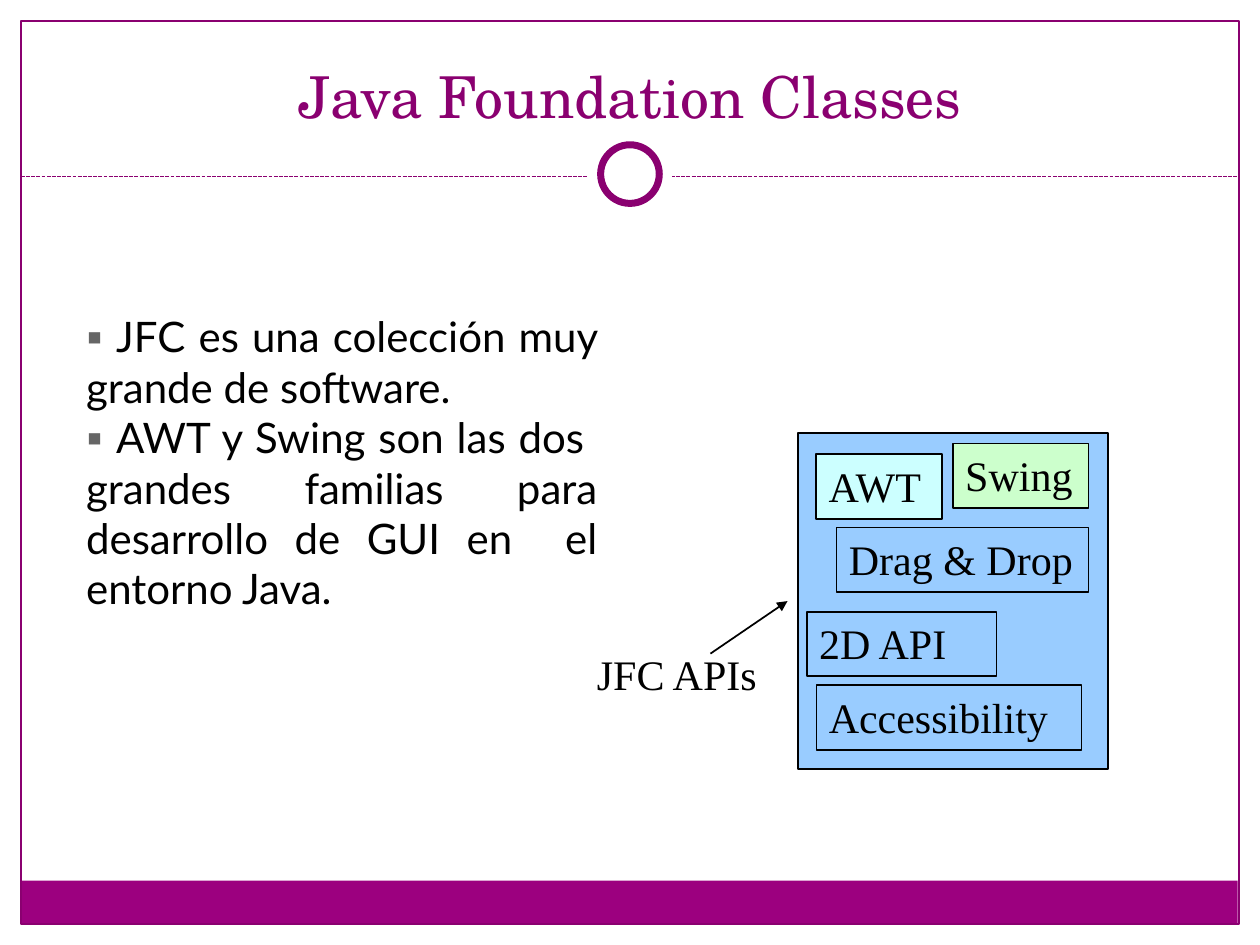
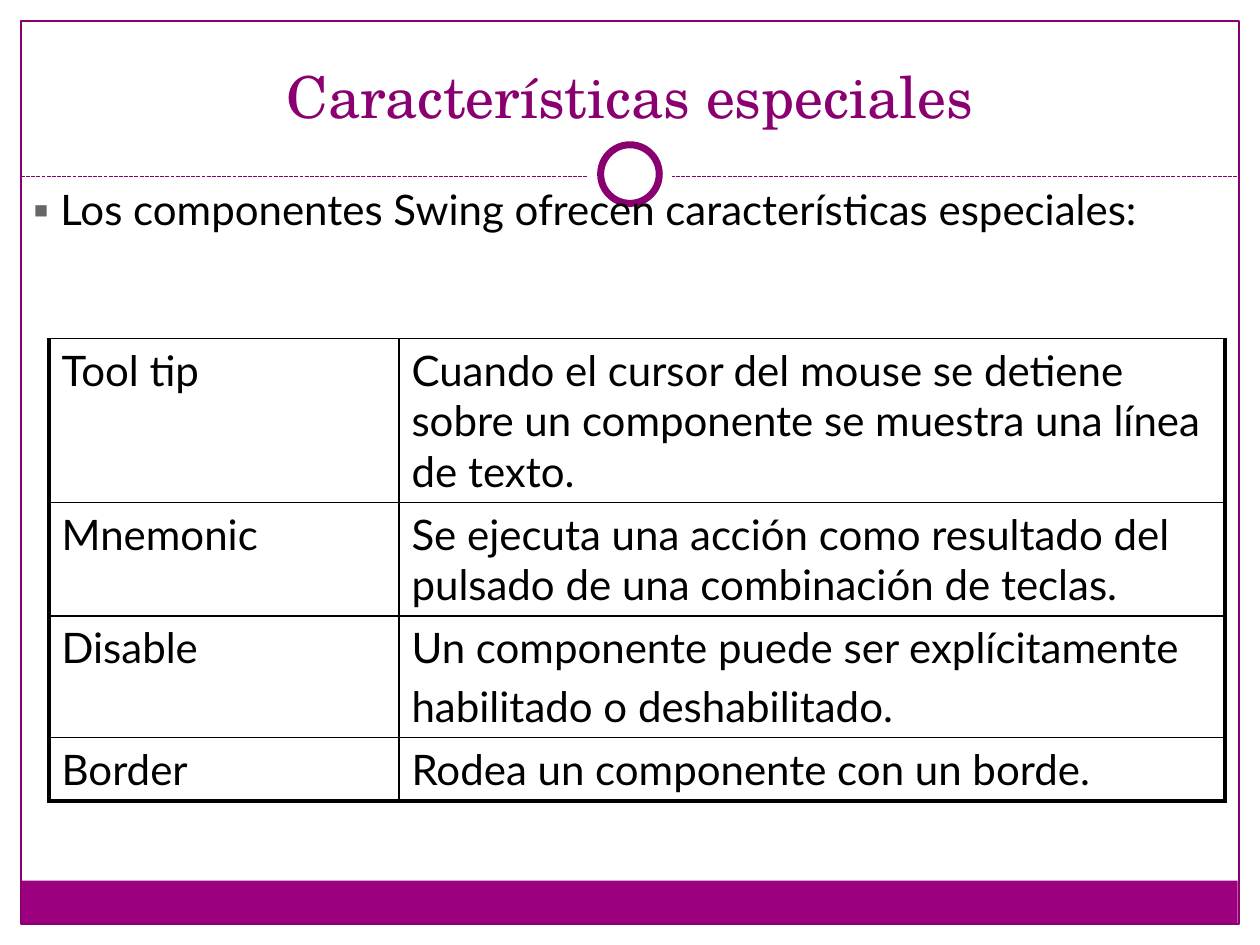
import lxml.etree
import pptx
import pptx.dml.color
import pptx.enum.dml
import pptx.enum.shapes
import pptx.enum.text
import pptx.oxml.ns
import pptx.util

Pt = pptx.util.Pt
qn = pptx.oxml.ns.qn
KIND = pptx.enum.shapes.MSO_SHAPE
ALIGN = pptx.enum.text.PP_ALIGN
HOLD = pptx.enum.text.MSO_ANCHOR

# Content; every place is left, top, width, height in points
TITLES = ["Java Foundation Classes", "Características especiales"]
LISTS = [
    {
        "at": (42, 174, 306.5, 181.5),
        "align": ALIGN.JUSTIFY,
        "lines": [
            "JFC es una colección muy grande de software.",
            "AWT y Swing son las dos  grandes familias para desarrollo "
            "de GUI en  el entorno Java.",
        ],
    },
    {
        "at": (11.5, 101.5, 684, 36),
        "align": ALIGN.LEFT,
        "lines": ["Los componentes Swing ofrecen características especiales:"],
    },
]
GROUP = (456, 247.5, 177, 192)
APIS = [  # label, left, top, width, fill
    ("AWT", 466.5, 259.5, 72, "aqua"),
    ("Swing", 544.5, 253.5, 77.5, "green"),
    ("Accessibility", 466.5, 391.5, 151.5, None),
    ("2D API", 461, 349.5, 108.5, None),
    ("Drag & Drop", 478, 301.5, 144, None),
]
API_TALL = 37
NOTE = ("JFC APIs", (334, 367, 107.5, 36))
ARROW = (406, 373.5, 450, 343.5)
TRAITS = [  # the top row stays open
    ("", [""]),
    ("Tool tip", ["Cuando el cursor del mouse se detiene sobre un componente "
                  "se muestra una línea de texto."]),
    ("Mnemonic", ["Se ejecuta una acción como resultado del pulsado de una "
                  "combinación de teclas."]),
    ("Disable", ["Un componente puede ser explícitamente",
                 "habilitado o deshabilitado."]),
    ("Border", ["Rodea un componente con un borde."]),
]
GRID = {"at": (28, 146), "cols": (200, 472), "rows": (47.5, 93.6, 64.8, 69.6, 36)}

# Shared look
HUES = {"plum": "8A0070", "band": "9C007F", "white": "FFFFFF", "black": "000000",
        "gray": "666666", "blue": "99CCFF", "aqua": "CCFFFF", "green": "CCFFCC"}
HEAD = {"name": "TeX Gyre Schola", "size": Pt(33), "hue": "plum"}
BODY = {"name": "Lato", "size": Pt(24), "hue": "black"}
MARK = {**BODY, "hue": "gray"}
SERIF = {**BODY, "name": "Times New Roman"}
FRAME = [  # shape, place, fill, line, line width
    (KIND.RECTANGLE, (11.75, 503.25, 695.5, 24.5), "band", None, 0),
    (KIND.RECTANGLE, (12, 12, 696, 516), None, "plum", 0.75),
    (KIND.OVAL, (336, 75.5, 48, 48), "white", None, 0),
    (KIND.OVAL, (343.25, 82.75, 33.5, 33.5), "white", "plum", 4),
]
RULE = (12, 100.8, 708, 100.8)


def tint(hue):
    return pptx.dml.color.RGBColor.from_string(HUES[hue])


def paint(fill, hue):
    if hue:
        fill.solid()
        fill.fore_color.rgb = tint(hue)
    else:
        fill.background()


def place(shape, at):
    for name, size in zip(("left", "top", "width", "height"), at):
        setattr(shape, name, Pt(size))


def draw(slide, kind, at, fill, line, width):
    shape = slide.shapes.add_shape(kind, *map(Pt, at))
    shape.shadow.inherit = False
    paint(shape.fill, fill)
    paint(shape.line.fill, line)
    if line:
        shape.line.width = Pt(width)
    return shape


def link(slide, ends, hue, width):
    line = slide.shapes.add_connector(
        pptx.enum.shapes.MSO_CONNECTOR.STRAIGHT, *map(Pt, ends))
    line.line.color.rgb = tint(hue)
    line.line.width = Pt(width)
    lxml.etree.SubElement(line.element.spPr, qn("a:effectLst"))
    return line


def write(frame, lines, look, align=ALIGN.LEFT, mark="", gap=0):
    """Fill a text frame, one paragraph for each line."""
    for i, text in enumerate(lines):
        para = frame.add_paragraph() if i else frame.paragraphs[0]
        para.alignment = align
        para.space_before = Pt(gap)
        for words, style in ((mark, MARK), (text, look)):
            if not words:
                continue
            run = para.add_run()
            run.text = words
            for name in ("name", "size"):
                setattr(run.font, name, style[name])
            run.font.color.rgb = tint(style["hue"])


def setup(frame, anchor=HOLD.TOP, wrap=True):
    values = {"word_wrap": wrap, "vertical_anchor": anchor,
              "auto_size": pptx.enum.text.MSO_AUTO_SIZE.NONE}
    for name, value in values.items():
        setattr(frame, name, value)
    return frame


def dress(deck, slide):
    """Draw the frame, then move it to the master for all slides."""
    parts = [draw(slide, *item) for item in FRAME]
    rule = link(slide, RULE, "plum", 0.75)
    rule.line.dash_style = pptx.enum.dml.MSO_LINE.SQUARE_DOT
    parts.insert(2, rule)
    tree = deck.slide_master.shapes[0].element.getparent()
    for i, part in enumerate(parts):
        part.element.xpath(".//p:cNvPr")[0].set("id", str(100 + i))
        tree.insert(2 + i, part.element)


def start(deck, title, points):
    """Add a slide with its title and list."""
    slide = deck.slides.add_slide(deck.slide_layouts[1])
    head, body = slide.placeholders
    place(head, (24, 18, 672, 60))
    write(setup(head.text_frame, HOLD.BOTTOM), [title], HEAD, ALIGN.CENTER)
    place(body, points["at"])
    write(setup(body.text_frame), points["lines"], BODY, points["align"], "▪ ")
    for para in body.text_frame.paragraphs:
        props = para._p.get_or_add_pPr()
        for name in ("marL", "indent"):
            props.set(name, "0")
        lxml.etree.SubElement(props, qn("a:buNone"))
    return slide


def chart_apis(slide):
    draw(slide, KIND.RECTANGLE, GROUP, "blue", "black", 1)
    for label, left, top, wide, fill in APIS:
        box = draw(slide, KIND.RECTANGLE, (left, top, wide, API_TALL),
                   fill, "black", 1)
        write(setup(box.text_frame), [label], SERIF)
    label, at = NOTE
    note = slide.shapes.add_textbox(*map(Pt, at))
    write(setup(note.text_frame, wrap=False), [label], SERIF)
    arrow = link(slide, ARROW, "black", 1)
    lxml.etree.SubElement(arrow.line._get_or_add_ln(), qn("a:tailEnd"),
                          type="triangle")


def edge(cell, side, width):
    line = lxml.etree.SubElement(cell._tc.get_or_add_tcPr(), qn("a:ln" + side),
                                 w=str(Pt(width)))
    fill = lxml.etree.SubElement(line, qn("a:solidFill"))
    lxml.etree.SubElement(fill, qn("a:srgbClr"), val=HUES["black"])


def list_traits(slide):
    cols, rows = GRID["cols"], GRID["rows"]
    size = (sum(cols), sum(rows))
    table = slide.shapes.add_table(len(rows), len(cols),
                                   *map(Pt, GRID["at"] + size)).table
    for name in ("first_row", "horz_banding"):
        setattr(table, name, False)
    for col, wide in zip(table.columns, cols):
        col.width = Pt(wide)
    for r, (name, lines) in enumerate(TRAITS):
        table.rows[r].height = Pt(rows[r])
        for c, texts in enumerate(([name], lines)):
            cell = table.cell(r, c)
            write(cell.text_frame, texts, BODY, gap=4.8)
            # Thick outer edges, thin inner ones
            thick = {"L": c == 0, "R": c == len(cols) - 1, "T": False,
                     "B": r == len(rows) - 1}
            for side in thick if r else "B":
                edge(cell, side, 2.25 if thick[side] else 1)
            cell.fill.background()


def main():
    deck = pptx.Presentation()
    deck.slide_width, deck.slide_height = Pt(720), Pt(540)
    first, second = [start(deck, *pair) for pair in zip(TITLES, LISTS)]
    dress(deck, first)
    chart_apis(first)
    list_traits(second)
    deck.save("out.pptx")


if __name__ == "__main__":
    main()
